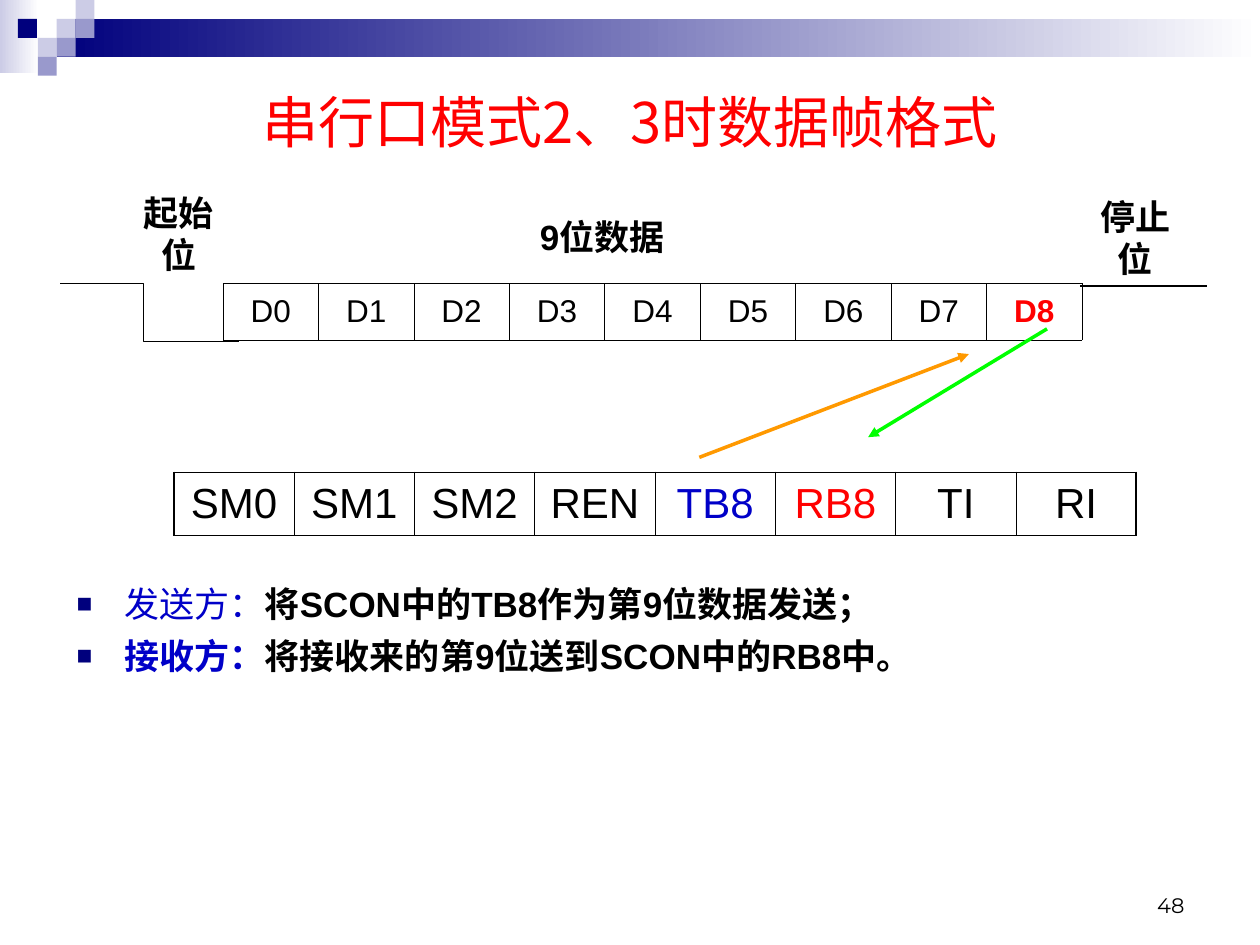
from lxml import etree
from pptx import Presentation
from pptx.dml.color import RGBColor
from pptx.enum.shapes import MSO_CONNECTOR, MSO_SHAPE
from pptx.enum.text import MSO_ANCHOR, PP_ALIGN
from pptx.oxml.ns import qn
from pptx.util import Inches, Pt

RECT = MSO_SHAPE.RECTANGLE
STRAIGHT, ELBOW = MSO_CONNECTOR.STRAIGHT, MSO_CONNECTOR.ELBOW
MIDDLE, TOP, BOTTOM = MSO_ANCHOR.MIDDLE, MSO_ANCHOR.TOP, MSO_ANCHOR.BOTTOM
CENTER, LEFT, RIGHT = PP_ALIGN.CENTER, PP_ALIGN.LEFT, PP_ALIGN.RIGHT
CJK_FONT = "Noto Sans CJK SC"
COLORS = {
    "navy": "00007D", "lilac": "CCCCE6", "violet": "9999CC", "white": "FFFFFF",
    "black": "000000", "red": "FF0000", "blue": "0000C8",
    "green": "00FF00", "orange": "FF9900",
}


def rgb(name):
    return RGBColor.from_string(COLORS[name])


def sub(parent, tag, **attrs):
    return etree.SubElement(parent, qn(tag), attrs)


def format_run(r, size, color="black", bold=False, font="Arial"):
    r.font.size, r.font.bold, r.font.name = Pt(size), bold, font
    r.font.color.rgb = rgb(color)
    sub(r.font._element, "a:ea", typeface=CJK_FONT)


def add_text(slide, box, text, size, bold=False, font="Arial",
             align=CENTER, anchor=MIDDLE, wrap=False):
    tf = slide.shapes.add_textbox(*map(Inches, box)).text_frame
    tf.word_wrap, tf.vertical_anchor = wrap, anchor
    p = tf.paragraphs[0]
    p.text, p.alignment = text, align
    format_run(p.runs[0], size, bold=bold, font=font)


def add_line(slide, start, end, color="black", width=0.75, kind=STRAIGHT,
             arrow=False):
    line = slide.shapes.add_connector(kind, *map(Inches, (*start, *end)))
    line.line.color.rgb = rgb(color)
    line.line.width = Pt(width)
    sp_pr = line._element.spPr
    if arrow:
        sub(sp_pr.find(qn("a:ln")), "a:tailEnd", type="triangle")
    sub(sp_pr, "a:effectLst")
    return line


def add_block(slide, box, color, fade=False):
    """Rectangle, plain or fading to white on the right."""
    sp = slide.shapes.add_shape(RECT, *map(Inches, box))
    sp.shadow.inherit = False
    sp.line.fill.background()
    if fade:
        sp.fill.gradient()
        sp.fill.gradient_angle = 0
        for stop, name in zip(sp.fill.gradient_stops, (color, "white")):
            stop.color.rgb = rgb(name)
    else:
        sp.fill.solid()
        sp.fill.fore_color.rgb = rgb(color)


def add_banner(slide, left, top, width):
    unit = 0.15
    add_block(slide, (left, top, 0.31, 0.58), "lilac", fade=True)
    add_block(slide, (left + 0.45, top + unit, width - 0.45, 0.3), "navy", fade=True)
    squares = [(3, 1, "lilac"), (4, 0, "lilac"), (4, 1, "violet"), (2, 2, "lilac"),
               (0.95, 1, "navy"), (3, 2, "violet"), (2, 3, "violet")]
    for col, row, color in squares:
        add_block(slide, (left + col * unit, top + row * unit, unit, unit), color)


def set_title(slide, box, text):
    title = slide.shapes.title
    title.left, title.top, title.width, title.height = map(Inches, box)
    tf = title.text_frame
    tf.text, tf.vertical_anchor = text, MIDDLE
    tf.paragraphs[0].alignment = CENTER
    format_run(tf.paragraphs[0].runs[0], 32, "red", font=CJK_FONT)


def set_borders(cell, widths):
    tc_pr = cell._tc.get_or_add_tcPr()
    for i, (side, width) in enumerate(zip("LRTB", widths)):
        ln = etree.Element(qn(f"a:ln{side}"), w=str(Pt(width)))
        sub(sub(ln, "a:solidFill"), "a:srgbClr", val=COLORS["black"])
        tc_pr.insert(i, ln)


def add_bit_table(slide, box, labels, size, outer, styles):
    """One row of bits; styles maps a label to its (colour, bold)."""
    left, top, width, height = map(Inches, box)
    count = len(labels)
    table = slide.shapes.add_table(1, count, left, top, width, height).table
    table.first_row = table.horz_banding = False
    for i, label in enumerate(labels):
        table.columns[i].width = width // count
        cell = table.cell(0, i)
        cell.fill.background()
        cell.vertical_anchor = MIDDLE
        p = cell.text_frame.paragraphs[0]
        p.text, p.alignment = label, CENTER
        format_run(p.runs[0], size, *styles.get(label, ("black", False)))
        set_borders(cell, (outer if i == 0 else 0.45,
                           outer if i == count - 1 else 0.45, outer, outer))


def add_frame(slide, left, top):
    """Signal line with start bit, nine data bits and stop bit."""
    start = add_line(slide, (left, top), (left + 1.42, top + 0.46), kind=ELBOW)
    guides = start._element.spPr.find(qn("a:prstGeom")).get_or_add_avLst()
    sub(guides, "a:gd", name="adj1", fmla="val 46500")
    add_bit_table(slide, (left + 1.29, top, 6.82, 0.45),
                  [f"D{i}" for i in range(9)], 18, 0.23, {"D8": ("red", True)})
    add_line(slide, (left + 8.09, top + 0.02), (left + 9.1, top + 0.02))
    for dx, dy, width, height, text in [(0.45, -0.61, 0.98, 0.43, "起始位"),
                                        (3.43, -0.57, 1.74, 0.39, "9位数据"),
                                        (8.06, -0.58, 0.94, 0.43, "停止位")]:
        add_text(slide, (left + dx, top + dy, width, height), text, 20, bold=True)


def add_bullet(p):
    p_pr = p._p.get_or_add_pPr()
    p_pr.set("marL", str(Inches(0.38)))
    p_pr.set("indent", str(-Inches(0.38)))
    sub(sub(p_pr, "a:buClr"), "a:srgbClr", val=COLORS["navy"])
    sub(p_pr, "a:buSzPct", val="75000")
    sub(p_pr, "a:buFont", typeface="Arial")
    sub(p_pr, "a:buChar", char="■")


def add_notes_list(slide, box, items):
    tf = slide.shapes.add_textbox(*map(Inches, box)).text_frame
    tf.word_wrap, tf.vertical_anchor = True, TOP
    tf.margin_top = Inches(0.08)
    for i, (role, role_bold, text) in enumerate(items):
        p = tf.add_paragraph() if i else tf.paragraphs[0]
        add_bullet(p)
        p.alignment = LEFT
        p.line_spacing = 1.0
        p.space_before = Pt(6 if i else 0)
        for words, color, bold in ((role, "blue", role_bold), (text, "black", True)):
            r = p.add_run()
            r.text = words
            format_run(r, 20, color, bold)


def main():
    prs = Presentation()
    prs.slide_width, prs.slide_height = Inches(10), Inches(7.5)
    slide = prs.slides.add_slide(prs.slide_layouts[5])
    add_banner(slide, 0, 0, 10)
    set_title(slide, (0.5, 0.5, 9, 0.92), "串行口模式2、3时数据帧格式")
    add_notes_list(slide, (0.51, 4.54, 9, 1.16), [
        ("发送方：", False, "将SCON中的TB8作为第9位数据发送；"),
        ("接收方：", True, "将接收来的第9位送到SCON中的RB8中。"),
    ])
    add_frame(slide, 0.48, 2.25)
    add_bit_table(slide, (1.38, 3.75, 7.64, 0.5),
                  ["SM0", "SM1", "SM2", "REN", "TB8", "RB8", "TI", "RI"], 24, 1.08,
                  {"TB8": ("blue", False), "RB8": ("red", False)})
    add_line(slide, (8.31, 2.61), (6.89, 3.47), "green", 2, arrow=True)
    add_line(slide, (5.55, 3.63), (7.69, 2.81), "orange", 2, arrow=True)
    add_text(slide, (7.17, 6.83, 2.33, 0.5), "48", 12, font="Montserrat",
             align=RIGHT, anchor=BOTTOM, wrap=True)
    prs.save("out.pptx")


if __name__ == "__main__":
    main()
